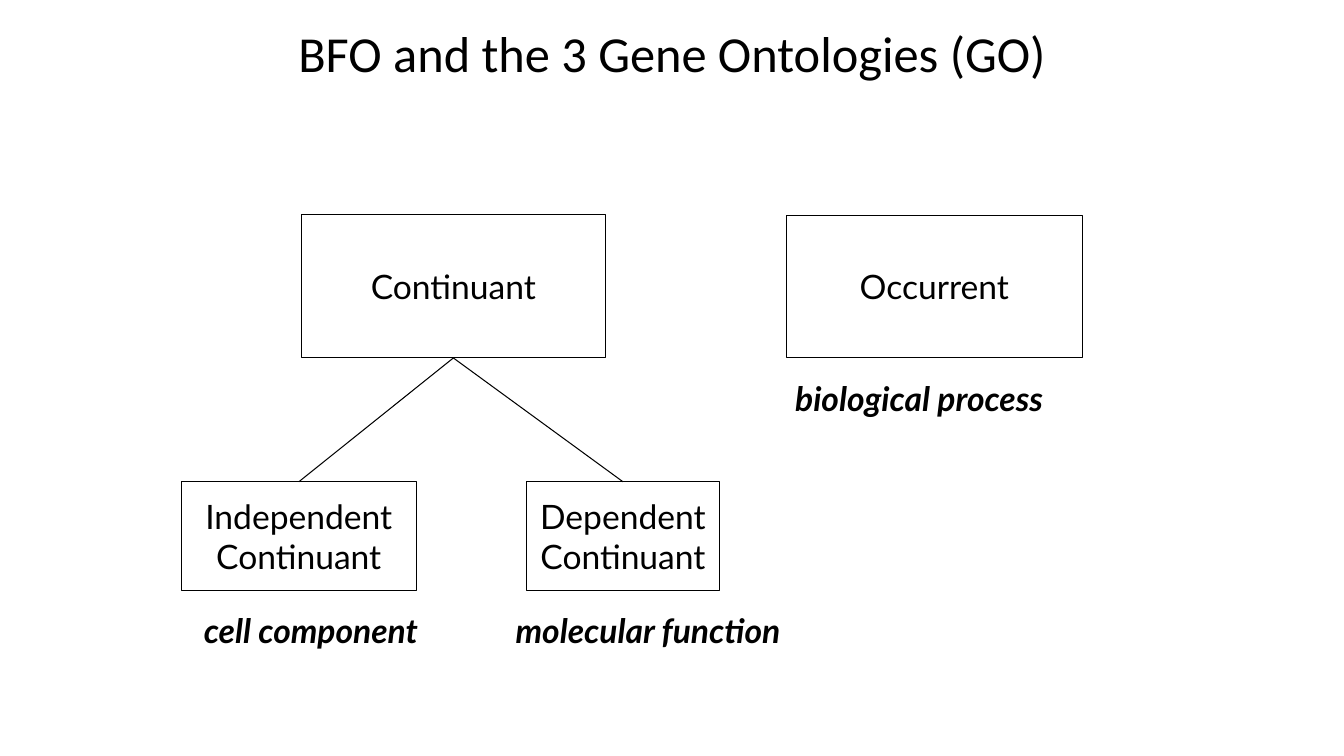
from lxml import etree
from pptx import Presentation
from pptx.dml.color import RGBColor
from pptx.enum import shapes, text
from pptx.oxml.ns import qn
from pptx.util import Cm, Pt

COLORS = {"ink": "000000"}
INK = RGBColor.from_string(COLORS["ink"])
BOTTOM, TOP = 2, 0


def write(frame, lines, size, font, emphasis=False):
    frame.vertical_anchor = text.MSO_ANCHOR.MIDDLE
    for index, line in enumerate(lines):
        para = frame.paragraphs[0] if index == 0 else frame.add_paragraph()
        para.alignment = text.PP_ALIGN.CENTER
        span = para.add_run()
        span.text = line
        span.font.size = Pt(size)
        span.font.name = font
        span.font.bold = span.font.italic = emphasis
        span.font.color.rgb = INK


def add_label(page, left, top, width, height, words, size=24, font="Lato", emphasis=True):
    box = page.shapes.add_textbox(Cm(left), Cm(top), Cm(width), Cm(height))
    box.text_frame.word_wrap = True
    write(box.text_frame, [words], size, font, emphasis)


def add_category(page, left, top, width, height, *lines):
    box = page.shapes.add_shape(
        shapes.MSO_SHAPE.RECTANGLE, Cm(left), Cm(top), Cm(width), Cm(height))
    box.shadow.inherit = False
    box.fill.background()
    box.line.color.rgb = INK
    box.line.width = Pt(0.75)
    box.text_frame.word_wrap = False
    write(box.text_frame, lines, 24, "Lato")
    return box


def add_branch(page, parent, child):
    branch = page.shapes.add_connector(shapes.MSO_CONNECTOR.STRAIGHT, 0, 0, 0, 0)
    branch.begin_connect(parent, BOTTOM)
    branch.end_connect(child, TOP)
    branch.line.color.rgb = INK
    branch.line.width = Pt(0.75)
    etree.SubElement(branch._element.spPr, qn("a:effectLst"))


def main():
    deck = Presentation()
    deck.slide_width, deck.slide_height = Cm(33.87), Cm(19.05)
    page = deck.slides.add_slide(deck.slide_layouts[6])

    add_label(page, 4.24, 0.76, 25.4, 1.14, "BFO and the 3 Gene Ontologies (GO)",
              size=36, font="Calibri", emphasis=False)

    continuant = add_category(page, 7.6, 5.41, 7.65, 3.61, "Continuant")
    add_category(page, 19.81, 5.43, 7.47, 3.58, "Occurrent")
    independent = add_category(page, 4.57, 12.14, 5.92, 2.74, "Independent", "Continuant")
    dependent = add_category(page, 13.26, 12.14, 4.88, 2.74, "Dependent", "Continuant")
    for child in (independent, dependent):
        add_branch(page, continuant, child)

    add_label(page, 4.24, 15.22, 7.19, 1.3, "cell component")
    add_label(page, 18.62, 9.37, 9.09, 1.3, "biological process")
    add_label(page, 11.91, 15.22, 8.84, 1.3, "molecular function")

    deck.save("out.pptx")


if __name__ == "__main__":
    main()
